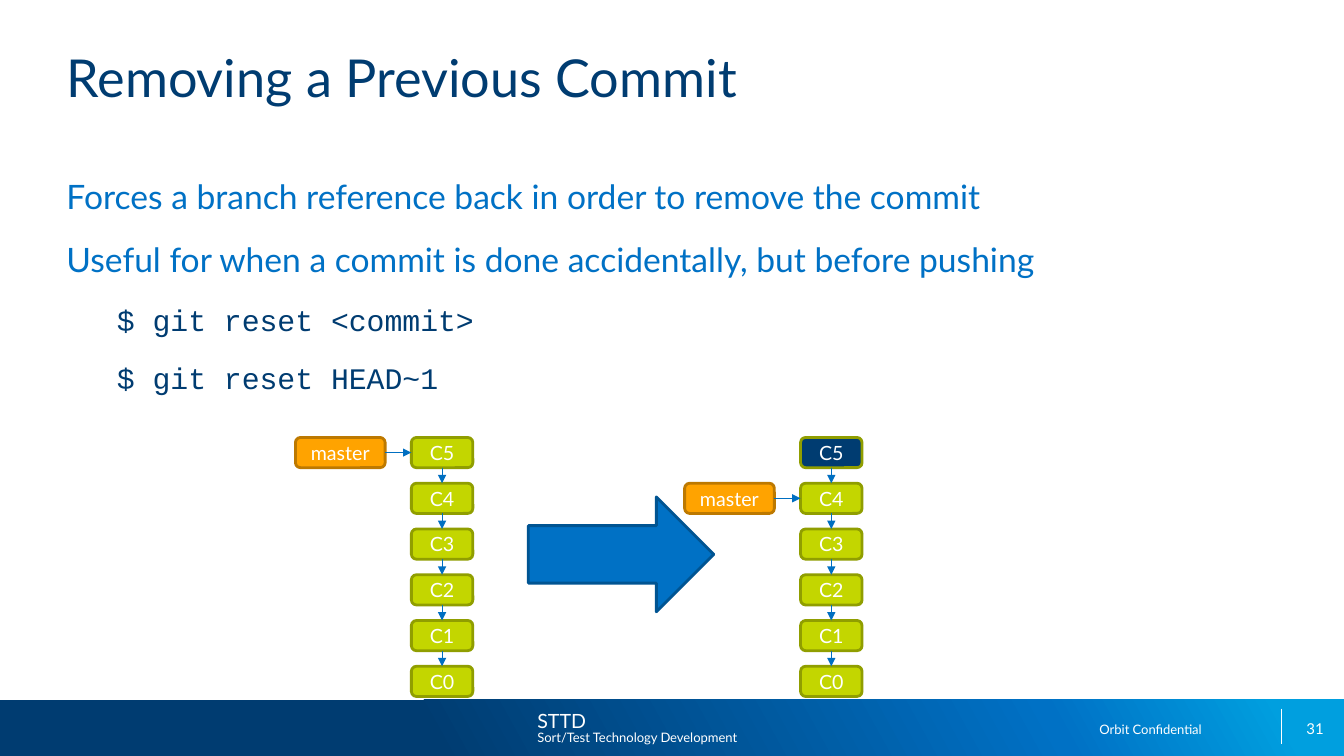
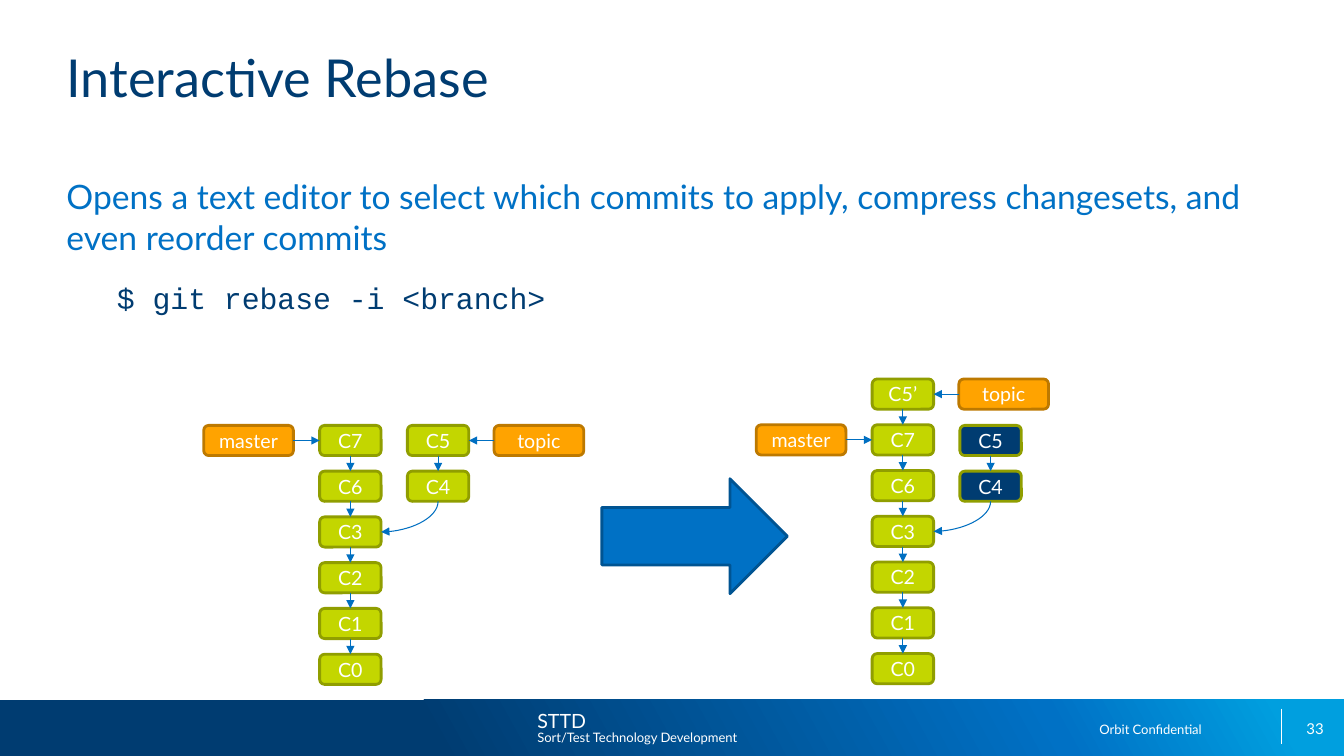
from lxml import etree
from pptx import Presentation
from pptx.dml.color import RGBColor
from pptx.enum import shapes, text
from pptx.oxml import parse_xml
from pptx.oxml.ns import nsdecls, qn
from pptx.util import Inches, Pt

NAVY = RGBColor(0x00, 0x3C, 0x71)
BLUE = RGBColor(0x00, 0x71, 0xC5)
CYAN = RGBColor(0x00, 0x9F, 0xDF)
LINK_BLUE = RGBColor(0x00, 0x6F, 0xC1)
ARROW_EDGE = RGBColor(0x00, 0x54, 0x92)
GREEN = RGBColor(0xC3, 0xD6, 0x00)
GREEN_EDGE = RGBColor(0x90, 0x9E, 0x00)
ORANGE = RGBColor(0xFF, 0xA3, 0x00)
ORANGE_EDGE = RGBColor(0xBD, 0x79, 0x00)
WHITE = RGBColor(0xFF, 0xFF, 0xFF)

FONT, CODE_FONT = "Lato", "Courier New"
TOP, LEFT, BOTTOM, RIGHT = range(4)  # connection sites of a box
COMMIT_WIDTH, BRANCH_WIDTH, BOX_HEIGHT = Inches(0.61), Inches(0.89), Inches(0.3)
ROW_STEP = Inches(2.27) // 5
MASTER_OFFSET, TOPIC_OFFSET = Inches(-1.15), Inches(0.86)


class GitDeck:
    """Holds the presentation, its style and the slide being built."""

    def __init__(self):
        self.presentation = Presentation()
        self.presentation.slide_width = Inches(13.33)
        self.presentation.slide_height = Inches(7.5)
        self.slide = None

    def new_slide(self, title, number):
        self.slide = self.presentation.slides.add_slide(self.presentation.slide_layouts[5])
        heading = self.slide.shapes.title
        heading.left, heading.top = Inches(0.66), Inches(0.45)
        heading.width, heading.height = Inches(12), Inches(1.27)
        self.fill_frame(heading.text_frame, title, 37.3, NAVY)
        self.footer(number)

    def style(self, paragraph, size, color, font=FONT, align=text.PP_ALIGN.LEFT):
        paragraph.alignment = align
        for run in paragraph.runs:
            run.font.name, run.font.size = font, Pt(size)
            run.font.color.rgb = color

    def fill_frame(self, frame, content, size, color, align=text.PP_ALIGN.LEFT,
                   anchor=text.MSO_ANCHOR.TOP):
        frame.text = content
        frame.word_wrap = True
        frame.auto_size = text.MSO_AUTO_SIZE.NONE
        frame.vertical_anchor = anchor
        frame.margin_left = frame.margin_right = frame.margin_top = frame.margin_bottom = 0
        for paragraph in frame.paragraphs:
            self.style(paragraph, size, color, align=align)

    def label(self, content, left, top, width, height, size, color=WHITE, **layout):
        box = self.slide.shapes.add_textbox(
            Inches(left), Inches(top), Inches(width), Inches(height))
        self.fill_frame(box.text_frame, content, size, color, **layout)
        return box.text_frame

    def shape(self, preset, left, top, width, height, fill, edge):
        shape = self.slide.shapes.add_shape(preset, left, top, width, height)
        shape.shadow.inherit = False
        shape.fill.solid()
        shape.fill.fore_color.rgb = fill
        shape.line.color.rgb = edge
        shape.line.width = Pt(2)
        return shape

    def footer(self, number):
        band = self.slide.shapes.add_shape(
            shapes.MSO_SHAPE.RECTANGLE, 0, Inches(6.94), Inches(13.33), Inches(0.56))
        stops = "".join(
            f'<a:gs pos="{percent * 1000}"><a:srgbClr val="{color}"/></a:gs>'
            for percent, color in ((32, NAVY), (78, BLUE), (95, CYAN)))
        band._element.spPr.append(parse_xml(
            f'<a:gradFill {nsdecls("a")} rotWithShape="1"><a:gsLst>{stops}</a:gsLst>'
            f'<a:lin ang="{331 * 60000}" scaled="0"/></a:gradFill>'))
        band.line.fill.background()
        band.shadow.inherit = False
        divider = self.line(WHITE)
        divider.begin_x = divider.end_x = Inches(12.71)
        divider.begin_y, divider.end_y = Inches(7.03), Inches(7.38)
        self.label("STTD", 5.33, 7.03, 0.57, 0.24, 14)
        self.label("Sort/Test Technology Development", 5.33, 7.24, 2.67, 0.16, 9.3)
        self.label("Orbit Confidential", 10.26, 7.16, 1.66, 0.16, 9.3,
                   align=text.PP_ALIGN.RIGHT)
        self.label(str(number), 10.02, 7.03, 3.11, 0.4, 10.7,
                   align=text.PP_ALIGN.RIGHT, anchor=text.MSO_ANCHOR.MIDDLE)

    def body(self, statements, commands):
        frame = self.label("\n".join(statements + commands), 0.66, 1.75, 12, 5, 24, BLUE)
        for paragraph in frame.paragraphs:
            paragraph.space_before = Pt(16)
        for command in frame.paragraphs[len(statements):]:
            command.level = 1
            properties = command._p.get_or_add_pPr()
            properties.set("marL", str(Inches(0.5)))
            properties.set("indent", "0")
            self.style(command, 21.3, NAVY, CODE_FONT)

    def line(self, color, kind=shapes.MSO_CONNECTOR.STRAIGHT):
        line = self.slide.shapes.add_connector(kind, 0, 0, 0, 0)
        line.line.color.rgb = color
        line.line.width = Pt(0.75)
        etree.SubElement(line._element.spPr, qn("a:effectLst"))
        return line

    def link(self, source, source_site, target, target_site):
        link = self.line(LINK_BLUE)
        link.begin_connect(source, source_site)
        link.end_connect(target, target_site)
        self.arrowhead(link, "a:tailEnd")

    def merge_curve(self, source, target):
        """Curve from the bottom of source to the right side of target.

        It is laid from target to source, so the preset needs no rotation.
        """
        curve = self.line(LINK_BLUE, shapes.MSO_CONNECTOR.CURVE)
        curve._element.spPr.find(qn("a:prstGeom")).set("prst", "curvedConnector2")
        curve.begin_connect(target, RIGHT)
        curve.end_connect(source, BOTTOM)
        self.arrowhead(curve, "a:headEnd")

    def arrowhead(self, line, end):
        outline = line._element.spPr.find(qn("a:ln"))
        etree.SubElement(outline, qn(end)).set("type", "triangle")

    def node(self, name, left, top, width, fill, edge):
        node = self.shape(shapes.MSO_SHAPE.ROUNDED_RECTANGLE,
                          left, top, width, BOX_HEIGHT, fill, edge)
        node.text_frame.text = name
        node.text_frame.vertical_anchor = text.MSO_ANCHOR.MIDDLE
        self.style(node.text_frame.paragraphs[0], 14, WHITE, align=text.PP_ALIGN.CENTER)
        return node

    def history(self, names, left, top, dropped=()):
        """Stack commits, newest first, each pointing to its parent; return them by name."""
        commits = {}
        child = None
        for row, name in enumerate(names.split()):
            commit = self.node(name, Inches(left), Inches(top) + row * ROW_STEP, COMMIT_WIDTH,
                               NAVY if name in dropped else GREEN, GREEN_EDGE)
            if child is not None:
                self.link(child, BOTTOM, commit, TOP)
            commits[name] = child = commit
        return commits

    def branch(self, name, commit, offset):
        branch = self.node(name, commit.left + offset, commit.top,
                           BRANCH_WIDTH, ORANGE, ORANGE_EDGE)
        sites = (RIGHT, LEFT) if offset < 0 else (LEFT, RIGHT)
        self.link(branch, sites[0], commit, sites[1])

    def transition(self, left, top):
        self.shape(shapes.MSO_SHAPE.RIGHT_ARROW, Inches(left), Inches(top),
                   Inches(1.84), Inches(1.14), BLUE, ARROW_EDGE)


def add_reset_slide(deck):
    deck.new_slide("Removing a Previous Commit", 31)
    deck.body(["Forces a branch reference back in order to remove the commit",
               "Useful for when a commit is done accidentally, but before pushing"],
              ["$ git reset <commit>", "$ git reset HEAD~1"])
    for left, head, dropped in ((4.08, "C5", ()), (7.94, "C4", ("C5",))):
        commits = deck.history("C5 C4 C3 C2 C1 C0", left, 4.34, dropped)
        deck.branch("master", commits[head], MASTER_OFFSET)
    deck.transition(5.24, 4.93)


def add_rebase_slide(deck):
    deck.new_slide("Interactive Rebase", 33)
    deck.body(["Opens a text editor to select which commits to apply, compress changesets, "
               "and even reorder commits"],
              ["$ git rebase -i <branch>"])
    states = (
        (3.17, 4.22, "C7 C6 C3 C2 C1 C0", "C5", ()),
        (8.65, 3.76, "C5’ C7 C6 C3 C2 C1 C0", "C5’", ("C5", "C4")),
    )
    for left, top, names, topic_head, dropped in states:
        main_commits = deck.history(names, left, top)
        topic_commits = deck.history("C5 C4", left + 0.87, 4.22, dropped)
        deck.merge_curve(topic_commits["C4"], main_commits["C3"])
        deck.branch("master", main_commits["C7"], MASTER_OFFSET)
        deck.branch("topic", (main_commits | topic_commits)[topic_head], TOPIC_OFFSET)
    deck.transition(5.97, 4.75)


def main():
    deck = GitDeck()
    add_reset_slide(deck)
    add_rebase_slide(deck)
    deck.presentation.save("out.pptx")


if __name__ == "__main__":
    main()
